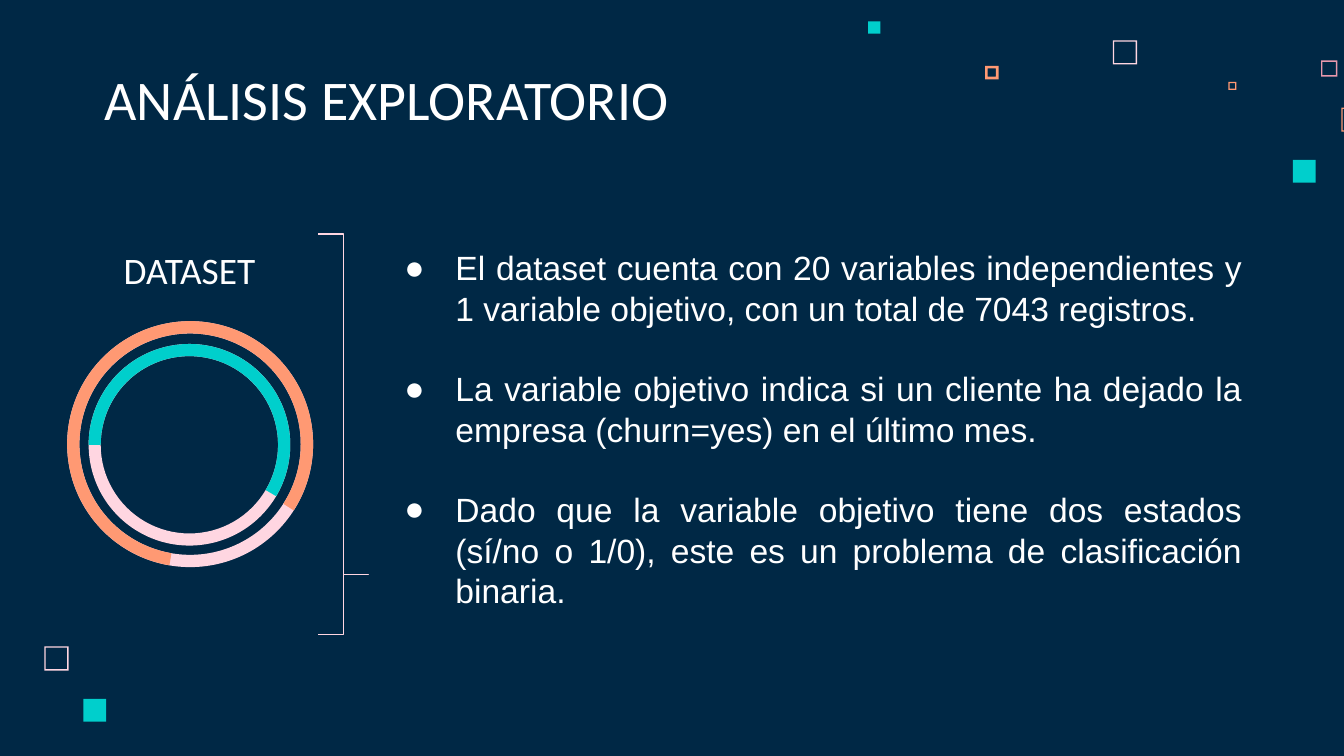
from lxml import etree
from pptx import Presentation
from pptx.dml.color import RGBColor
from pptx.enum.shapes import MSO_SHAPE
from pptx.enum.text import MSO_ANCHOR, PP_ALIGN
from pptx.oxml.ns import qn
from pptx.util import Inches, Pt

RECTANGLE = MSO_SHAPE.RECTANGLE
FRAME = MSO_SHAPE.FRAME
DONUT = MSO_SHAPE.DONUT
BLOCK_ARC = MSO_SHAPE.BLOCK_ARC
RIGHT_BRACE = MSO_SHAPE.RIGHT_BRACE
LEFT, CENTER, JUSTIFY = PP_ALIGN.LEFT, PP_ALIGN.CENTER, PP_ALIGN.JUSTIFY
TOP, BOTTOM = MSO_ANCHOR.TOP, MSO_ANCHOR.BOTTOM

COLORS = {
    "navy": "002845",
    "white": "FFFFFF",
    "pink": "FFD6E1",
    "rose": "E898AC",
    "orange": "FF9973",
    "teal": "00CFCC",
}

presentation = Presentation()
presentation.slide_width = Inches(10)
presentation.slide_height = Inches(10 * 9 / 16)
slide = presentation.slides.add_slide(presentation.slide_layouts[6])
slide.background.fill.solid()
slide.background.fill.fore_color.rgb = RGBColor.from_string(COLORS["navy"])


def add_shape(kind, left, top, width, height, fill=None, line=None, adjustments=()):
    shape = slide.shapes.add_shape(
        kind, Inches(left), Inches(top), Inches(width), Inches(height)
    )
    shape.shadow.inherit = False
    for index, value in enumerate(adjustments):
        shape.adjustments[index] = value
    if fill:
        shape.fill.solid()
        shape.fill.fore_color.rgb = RGBColor.from_string(COLORS[fill])
    else:
        shape.fill.background()
    if line:
        shape.line.color.rgb = RGBColor.from_string(COLORS[line])
        shape.line.width = Pt(0.75)
    else:
        shape.line.fill.background()


def add_text(paragraphs, left, top, width, height, size, font="Calibri",
             align=LEFT, anchor=TOP, bullet=None, gap=0):
    box = slide.shapes.add_textbox(
        Inches(left), Inches(top), Inches(width), Inches(height)
    )
    frame = box.text_frame
    frame.word_wrap = True
    frame.vertical_anchor = anchor
    frame.margin_left = frame.margin_right = Inches(0.1)
    frame.margin_top = frame.margin_bottom = Inches(0.1)
    for index, text in enumerate(paragraphs):
        paragraph = frame.paragraphs[0] if index == 0 else frame.add_paragraph()
        paragraph.alignment = align
        paragraph.space_before = Pt(gap if index else 0)
        run = paragraph.add_run()
        run.text = text
        run.font.name = font
        run.font.size = Pt(size)
        run.font.color.rgb = RGBColor.from_string(COLORS["white"])
        if bullet:
            properties = paragraph._p.get_or_add_pPr()
            properties.set("marL", str(Inches(0.5)))
            properties.set("indent", str(Inches(-0.38)))
            bullet_color = etree.SubElement(properties, qn("a:buClr"))
            etree.SubElement(bullet_color, qn("a:srgbClr"), val=COLORS["white"])
            etree.SubElement(properties, qn("a:buSzPts"), val=str(size * 100))
            etree.SubElement(properties, qn("a:buFont"), typeface=font)
            etree.SubElement(properties, qn("a:buChar"), char=bullet)


hollow_squares = [
    (8.28, 0.3, 0.18, "pink", 0.01),
    (9.83, 0.45, 0.12, "rose", 0.01),
    (9.14, 0.61, 0.06, "orange", 0.01),
    (9.98, 0.8, 0.18, "orange", 0.01),
    (7.33, 0.49, 0.1, "orange", 0.02),
    (0.33, 4.81, 0.18, "pink", 0.01),
]
for left, top, side, color, thickness in hollow_squares:
    add_shape(FRAME, left, top, side, side, fill=color, adjustments=[thickness / side])

solid_squares = [(9.62, 1.19, 0.17), (6.46, 0.16, 0.09), (0.62, 5.2, 0.17)]
for left, top, side in solid_squares:
    add_shape(RECTANGLE, left, top, side, side, fill="teal")

add_text(["ANÁLISIS EXPLORATORIO"], 0.68, 0.45, 5.17, 0.63, size=30, anchor=BOTTOM)

rings = [
    (0.5, 2.39, 1.83, "orange", 59.81, 19.57, 0.05),
    (0.66, 2.56, 1.5, "teal", 108, 18.4, 0.06),
]
for left, top, side, color, start, end, thickness in rings:
    add_shape(DONUT, left, top, side, side, fill="pink", adjustments=[thickness])
    add_shape(BLOCK_ARC, left, top, side, side, fill=color,
              adjustments=[start, end, thickness])

add_shape(RIGHT_BRACE, 2.37, 1.74, 0.37, 2.98, line="pink", adjustments=[0, 0.85])

add_text(["DATASET"], 0.38, 1.74, 2.06, 0.43, size=20, align=CENTER)

findings = [
    "El dataset cuenta con 20 variables independientes y 1 variable objetivo, "
    "con un total de 7043 registros.",
    "La variable objetivo indica si un cliente ha dejado la empresa (churn=yes) "
    "en el último mes.",
    "Dado que la variable objetivo tiene dos estados (sí/no o 1/0), este es un "
    "problema de clasificación binaria.",
]
add_text(findings, 2.79, 1.74, 6.55, 3.23, size=18, font="Arial", align=JUSTIFY,
         bullet="●", gap=21.6)

presentation.save("out.pptx")
